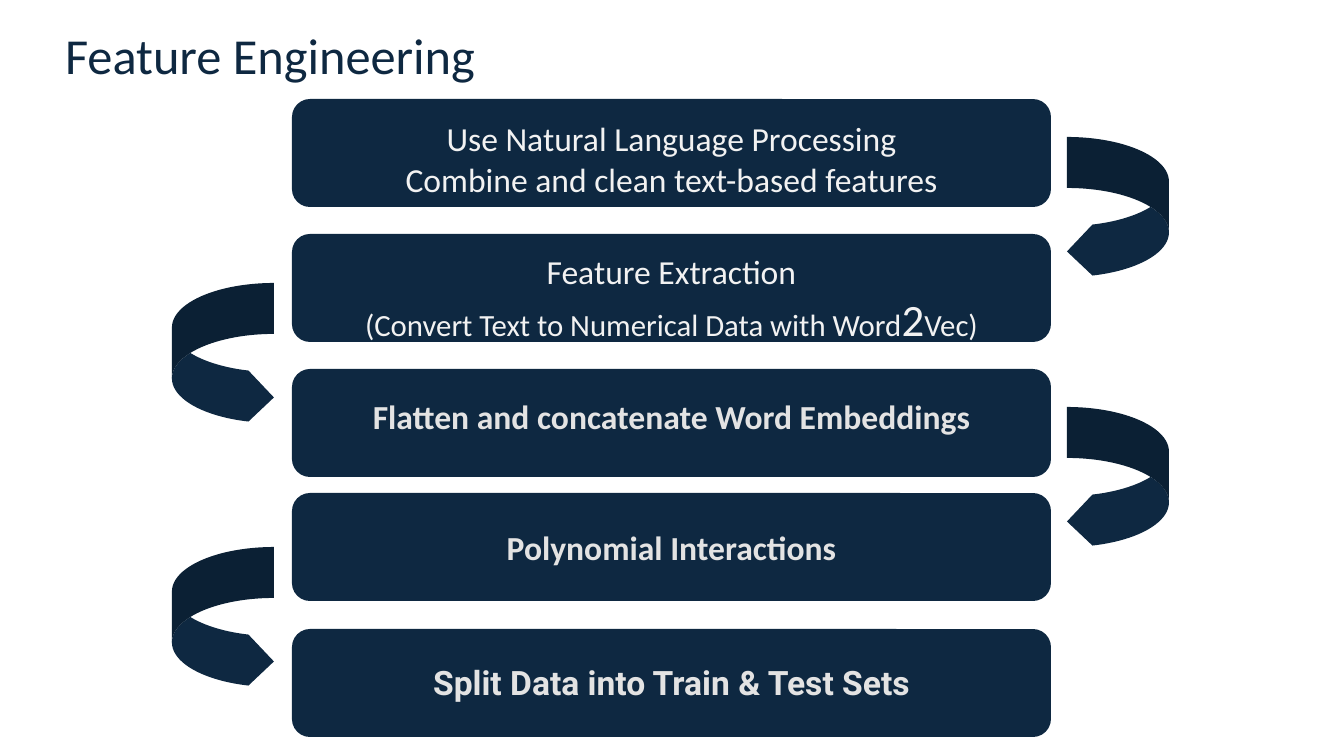
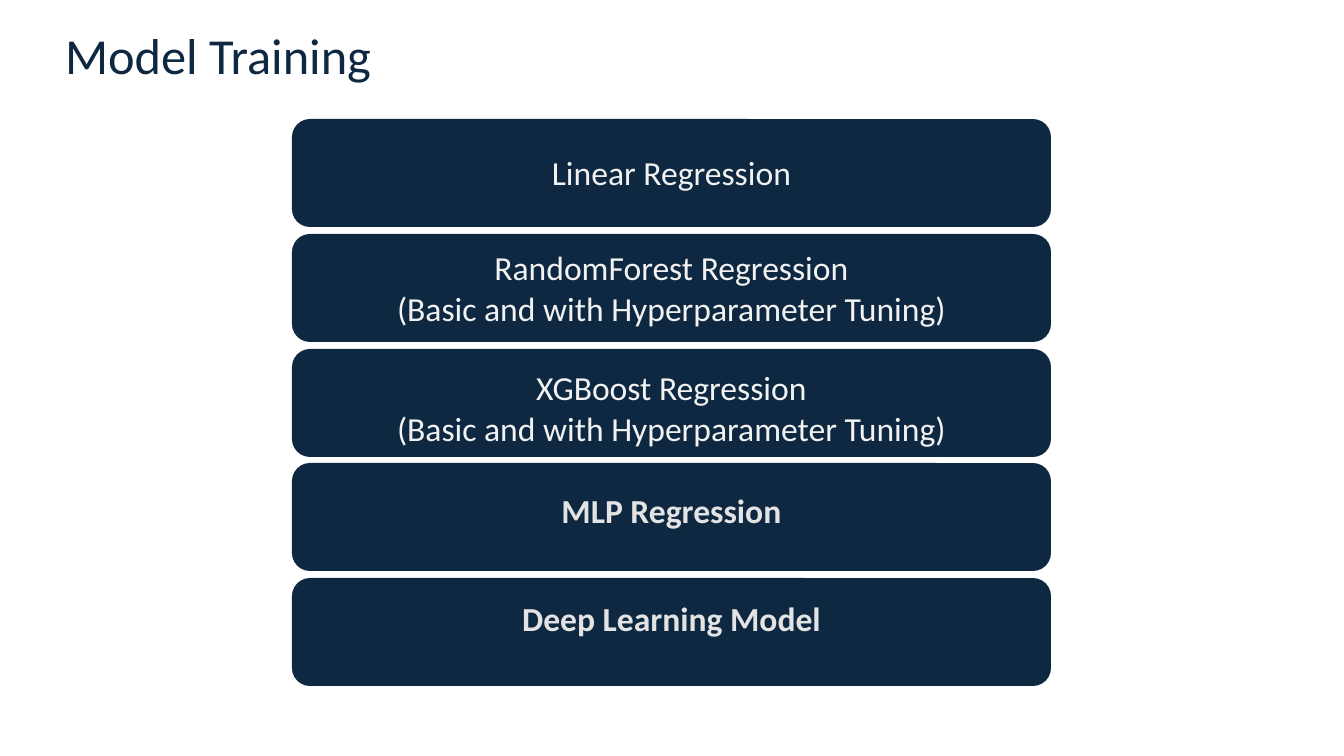
"""Build two slides on feature engineering and model training."""
from pptx import Presentation
from pptx.dml.color import RGBColor
from pptx.enum.shapes import MSO_SHAPE
from pptx.enum.text import MSO_ANCHOR, MSO_AUTO_SIZE, PP_ALIGN
from pptx.util import Emu, Pt

NAVY = RGBColor(0x0E, 0x28, 0x41)
LIGHT = RGBColor(0xF2, 0xF2, 0xF2)
GREY = RGBColor(0xE3, 0xE3, 0xE3)

PLAIN = ("Calibri", LIGHT, False)
BOLD = ("Calibri", GREY, True)
ROBOTO = ("Roboto", GREY, True)
TUNING = [("(Basic and with Hyperparameter Tuning)", 24)]

BOX_X, BOX_W, BOX_H = 292, 759, 108
ARROW_W, ARROW_H = 102, 140
RIGHT_X, LEFT_X = 1067, 172

# Each step: top of box, space above text, style, lines of (text, size) runs
SLIDES = [
    {
        "title": "Feature Engineering",
        "steps": [
            (99, 14, PLAIN, [[("Use Natural Language Processing", 24)],
                             [("Combine and clean text-based features", 24)]]),
            (234, 12, PLAIN, [[("Feature Extraction", 24)],
                              [("(Convert Text to Numerical Data with Word", 22),
                               ("2", 32), ("Vec)", 22)]]),
            (369, 22, BOLD, [[("Flatten and concatenate Word Embeddings", 24)]]),
            (493, 29, BOLD, [[("Polynomial Interactions", 24)]]),
            (629, 28, ROBOTO, [[("Split Data into Train & Test Sets", 24)]]),
        ],
        "arrow_tops": [137, 283, 407, 547],
    },
    {
        "title": "Model Training",
        "steps": [
            (119, 28, PLAIN, [[("Linear Regression", 24)]]),
            (234, 8, PLAIN, [[("RandomForest Regression", 24)], TUNING]),
            (349, 13, PLAIN, [[("XGBoost Regression", 24)], TUNING]),
            (463, 22, BOLD, [[("MLP Regression", 24)]]),
            (578, 15, BOLD, [[("Deep Learning Model", 24)]]),
        ],
        "arrow_tops": [],
    },
]


def px(n):
    return Emu(round(n * 914400 / 100.8))


def add_run(p, text, size, name, color, bold=False):
    r = p.add_run()
    r.text = text
    r.font.size = Pt(size)
    r.font.name = name
    r.font.color.rgb = color
    r.font.bold = bold


def add_navy(slide, kind, x, y, w, h):
    s = slide.shapes.add_shape(kind, px(x), px(y), px(w), px(h))
    s.shadow.inherit = False
    s.fill.solid()
    s.fill.fore_color.rgb = NAVY
    s.line.fill.background()
    return s


def add_title(slide, text):
    s = slide.shapes.title
    s.left, s.top, s.width, s.height = px(55), px(19), px(826), px(72)
    tf = s.text_frame
    tf.word_wrap = True
    tf.auto_size = MSO_AUTO_SIZE.NONE
    tf.vertical_anchor = MSO_ANCHOR.TOP
    p = tf.paragraphs[0]
    p.alignment = PP_ALIGN.LEFT
    add_run(p, text, 36, "Calibri", NAVY)


def add_step(slide, top, space, style, lines):
    s = add_navy(slide, MSO_SHAPE.ROUNDED_RECTANGLE, BOX_X, top, BOX_W, BOX_H)
    tf = s.text_frame
    tf.word_wrap = True
    tf.vertical_anchor = MSO_ANCHOR.TOP
    tf.margin_top, tf.margin_bottom = px(space), 0
    for i, runs in enumerate(lines):
        p = tf.add_paragraph() if i else tf.paragraphs[0]
        p.alignment = PP_ALIGN.CENTER
        for text, size in runs:
            add_run(p, text, size, *style)


def add_arrow(slide, top, on_left):
    x = LEFT_X if on_left else RIGHT_X
    s = add_navy(slide, MSO_SHAPE.CURVED_LEFT_ARROW, x, top, ARROW_W, ARROW_H)
    s.adjustments[0] = 0.5
    if on_left:
        s.element.spPr.xfrm.set("flipH", "1")


def main():
    prs = Presentation()
    prs.slide_width, prs.slide_height = px(1344), px(756)
    for content in SLIDES:
        slide = prs.slides.add_slide(prs.slide_layouts[5])
        add_title(slide, content["title"])
        for step in content["steps"]:
            add_step(slide, *step)
        for i, top in enumerate(content["arrow_tops"]):
            add_arrow(slide, top, i % 2 == 1)
    prs.save("out.pptx")


if __name__ == "__main__":
    main()
